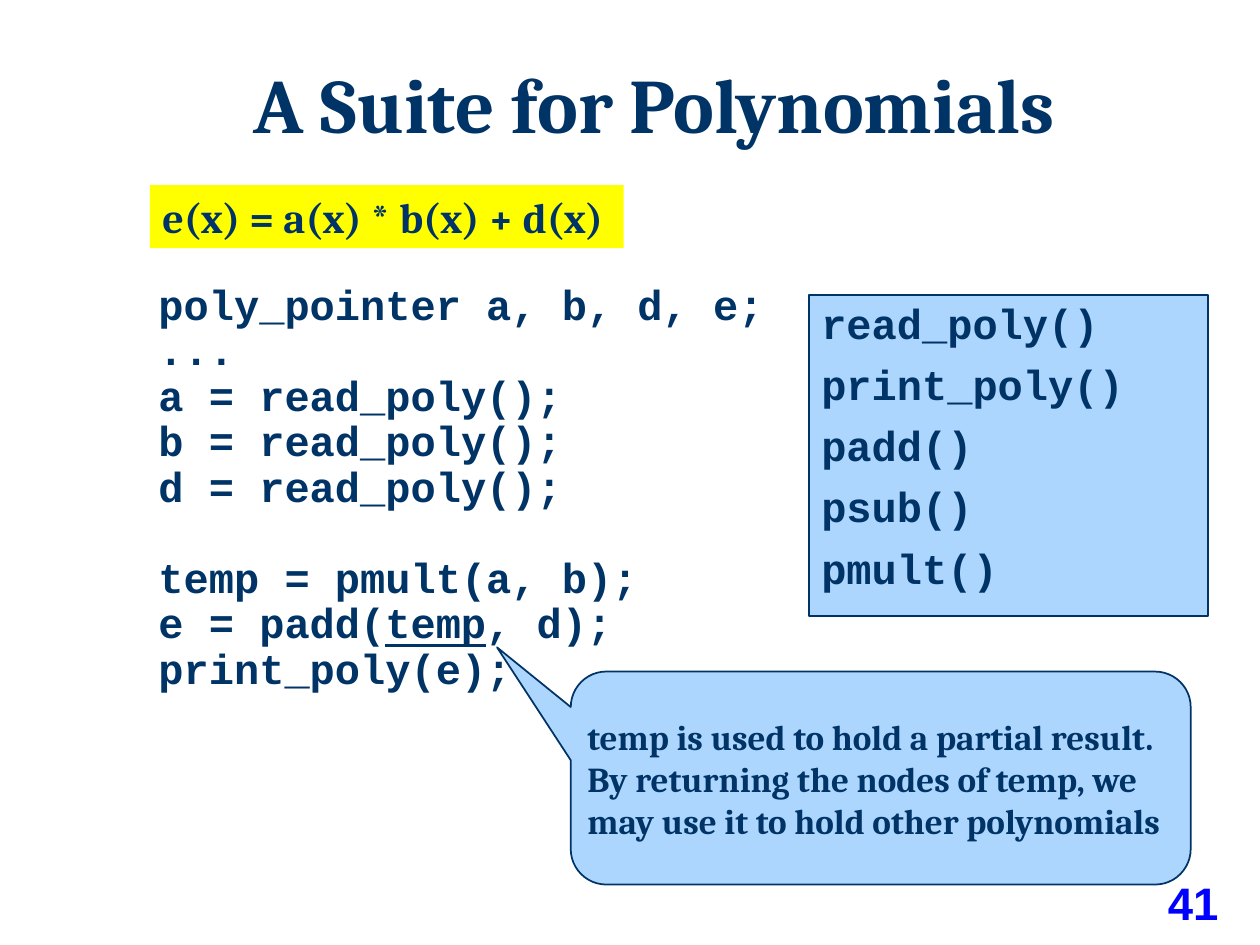
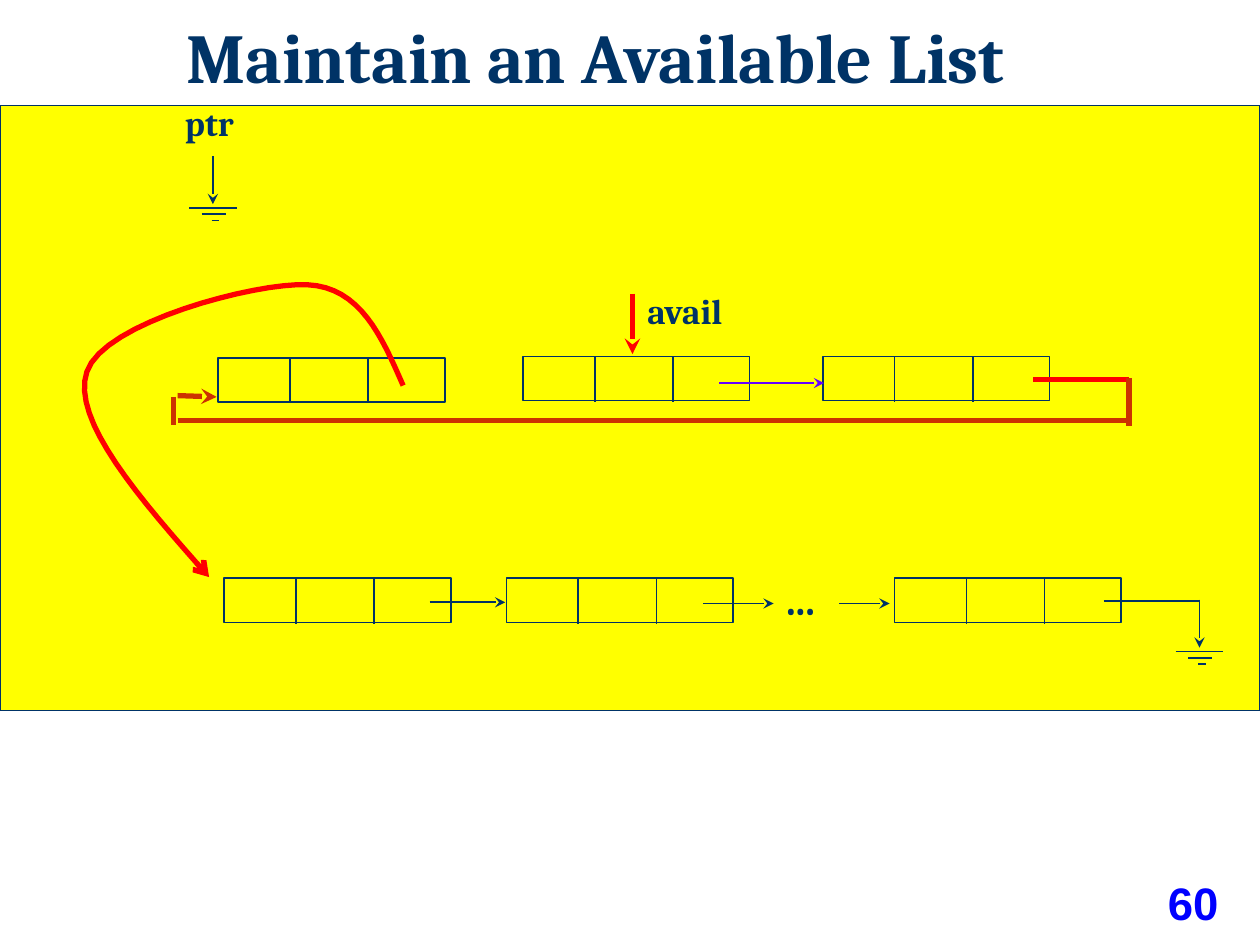
from lxml.etree import SubElement
from pptx import Presentation
from pptx.dml.color import RGBColor
from pptx.enum.shapes import MSO_CONNECTOR, MSO_SHAPE
from pptx.enum.text import MSO_ANCHOR, MSO_AUTO_SIZE, PP_ALIGN
from pptx.oxml.ns import qn
from pptx.util import Inches, Pt

COLORS = {
    "navy": "003366",
    "blue": "0000FF",
    "pale": "ADD6FF",
    "yellow": "FFFF00",
    "red": "FF0000",
    "brick": "CC3300",
    "violet": "6600FF",
}


def write_text(shape, text, size=24, font="Cambria", color="navy",
               align=PP_ALIGN.LEFT, anchor=MSO_ANCHOR.TOP, wrap=True,
               spacing=None, after=0):
    """Write one bold paragraph per line; text between bars is underlined."""
    frame = shape.text_frame
    frame.auto_size = MSO_AUTO_SIZE.NONE
    frame.word_wrap = wrap
    frame.vertical_anchor = anchor
    for number, line in enumerate(text.split("\n")):
        para = frame.add_paragraph() if number else frame.paragraphs[0]
        para.alignment = align
        para.space_before = Pt(0)
        para.space_after = Pt(after)
        if spacing:
            para.line_spacing = spacing
        for index, part in enumerate(line.split("|")):
            span = para.add_run()
            span.text = part
            span.font.name = font
            span.font.size = Pt(size)
            span.font.bold = True
            span.font.underline = index % 2 == 1
            span.font.color.rgb = RGBColor.from_string(COLORS[color])
    return frame


def style_shape(shape, line="navy", width=1, fill=None, arrow=None):
    """Set outline, fill and arrowhead, and remove the shadow."""
    if line:
        shape.line.color.rgb = RGBColor.from_string(COLORS[line])
        shape.line.width = Pt(width)
    else:
        shape.line.fill.background()
    if arrow:
        SubElement(shape.line._get_or_add_ln(), qn("a:tailEnd"), type=arrow)
    if fill:
        shape.fill.solid()
        shape.fill.fore_color.rgb = RGBColor.from_string(COLORS[fill])
    elif hasattr(shape, "fill"):
        shape.fill.background()
    SubElement(shape._element.spPr, qn("a:effectLst"))


deck = Presentation()
deck.slide_width, deck.slide_height = Inches(10), Inches(7.5)

# Titles and page numbers
pages = []
for title, left, top, size, number in [
    ("A Suite for Polynomials", 0.59, 0.48, 44, "41"),
    ("Maintain an Available List", 0.12, 0.13, 40, "60"),
]:
    page = deck.slides.add_slide(deck.slide_layouts[5])
    heading = page.shapes.title
    heading.left, heading.top = Inches(left), Inches(top)
    heading.width, heading.height = Inches(9.21), Inches(1.25)
    write_text(heading, title, size=size, align=PP_ALIGN.CENTER, spacing=0.9)
    box = page.shapes.add_textbox(Inches(9.17), Inches(6.9), Inches(0.64), Inches(0.53))
    write_text(box, number, size=26, font="Arial", color="blue", anchor=MSO_ANCHOR.BOTTOM)
    pages.append(page)
suite, available = [page.shapes for page in pages]

# Polynomial suite: program
program = """poly_pointer a, b, d, e;
...
a = read_poly();
b = read_poly();
d = read_poly();
temp = pmult(a, b);
e = padd(|temp|, d);
print_poly(e);"""
box = suite.add_textbox(Inches(1.16), Inches(2.2), Inches(8.84), Inches(4.5))
frame = write_text(box, program, font="Courier New", spacing=Pt(26))
frame.paragraphs[5].space_before = Pt(26)

# Polynomial suite: function list, callout and formula
functions = suite.add_shape(MSO_SHAPE.RECTANGLE, Inches(6.42), Inches(2.34),
                            Inches(3.17), Inches(2.55))
style_shape(functions, fill="pale")
frame = write_text(functions, "read_poly()\nprint_poly()\npadd()\npsub()\npmult()",
                   font="Courier New", spacing=Pt(23), after=12)
frame.margin_top = Inches(0.1)

callout = suite.add_shape(MSO_SHAPE.ROUNDED_RECTANGULAR_CALLOUT, Inches(4.53),
                          Inches(5.33), Inches(4.92), Inches(1.69))
for index, value in enumerate((-0.619, -0.614, 0.167)):
    callout.adjustments[index] = value
style_shape(callout, fill="pale")
frame = write_text(callout, "temp is used to hold a partial result.\n"
                   "By returning the nodes of temp, we\n"
                   "may use it to hold other polynomials",
                   size=20, anchor=MSO_ANCHOR.MIDDLE)
frame.margin_left = frame.margin_right = Inches(0.05)

formula = suite.add_shape(MSO_SHAPE.RECTANGLE, Inches(1.19), Inches(1.47),
                          Inches(3.76), Inches(0.5))
style_shape(formula, line=None, fill="yellow")
write_text(formula, "e(x) = a(x) * b(x) + d(x)", wrap=False)

# Available list: background and nodes
panel = available.add_shape(MSO_SHAPE.RECTANGLE, 0, Inches(0.84), Inches(10), Inches(4.8))
style_shape(panel, width=0.75, fill="yellow")

lines = []  # x1, y1, x2, y2, colour, width, arrowhead
for left, top in [(1.73, 2.84), (4.15, 2.83), (6.53, 2.83),
                  (1.78, 4.59), (4.02, 4.59), (7.1, 4.59)]:
    node = available.add_shape(MSO_SHAPE.RECTANGLE, Inches(left), Inches(top),
                               Inches(1.8), Inches(0.35))
    style_shape(node)
    for divider in (left + 0.57, left + 1.19):
        lines.append((divider, top, divider, top + 0.36, "navy", 1, None))

# Ground symbols of the null pointers
for center, top in [(1.69, 1.65), (9.52, 5.17)]:
    for row, (start, width) in enumerate([(-0.19, 0.38), (-0.09, 0.19), (-0.01, 0.06)]):
        y = top + 0.05 * row
        lines.append((center + start, y, center + start + width, y, "navy", 1, None))

# Links between nodes
lines += [
    (5.71, 3.04, 6.54, 3.04, "violet", 1, "stealth"),
    (8.2, 3.01, 8.96, 3.01, "red", 3, None),
    (1.41, 3.14, 1.72, 3.15, "brick", 3, "stealth"),
    (1.41, 3.34, 8.98, 3.34, "brick", 3, None),
    (8.96, 3, 8.96, 3.38, "brick", 3, None),
    (1.38, 3.15, 1.38, 3.37, "brick", 3, None),
    (3.41, 4.78, 4.01, 4.78, "navy", 1, "stealth"),
    (5.58, 4.79, 6.14, 4.79, "navy", 1, "stealth"),
    (6.66, 4.79, 7.06, 4.79, "navy", 1, "stealth"),
    (8.76, 4.77, 9.52, 4.77, "navy", 1, None),
    (9.52, 4.76, 9.52, 5.14, "navy", 1, "stealth"),
    (5.02, 2.33, 5.02, 2.81, "red", 3, "stealth"),
    (1.69, 1.24, 1.69, 1.62, "navy", 1, "stealth"),
]
for x1, y1, x2, y2, color, width, arrow in lines:
    link = available.add_connector(MSO_CONNECTOR.STRAIGHT, Inches(x1), Inches(y1),
                                   Inches(x2), Inches(y2))
    style_shape(link, line=color, width=width, arrow=arrow)

# Curved link, traced along three Bezier segments
knots = [(3.2, 3.06), (3.03, 2.67), (2.86, 2.28), (2.44, 2.26), (2.03, 2.24),
         (0.82, 2.56), (0.69, 2.95), (0.56, 3.33), (1.11, 3.96), (1.66, 4.58)]
steps = 16
points = []
for first in range(0, 9, 3):
    for step in range(1, steps + 1):
        t = step / steps
        weights = ((1 - t) ** 3, 3 * t * (1 - t) ** 2, 3 * t ** 2 * (1 - t), t ** 3)
        segment = list(zip(weights, knots[first:first + 4]))
        points.append([Inches(sum(w * knot[axis] for w, knot in segment))
                       for axis in (0, 1)])
builder = available.build_freeform(Inches(knots[0][0]), Inches(knots[0][1]))
builder.add_line_segments(points, close=False)
style_shape(builder.convert_to_shape(), line="red", width=3, arrow="arrow")

# Labels
for label, left, top, width, height, size in [
    ("ptr", 1.37, 0.76, 0.6, 0.44, 20),
    ("avail", 5.04, 2.25, 0.81, 0.44, 20),
    ("...", 6.14, 4.5, 0.44, 0.51, 24),
]:
    box = available.add_textbox(Inches(left), Inches(top), Inches(width), Inches(height))
    write_text(box, label, size=size, wrap=False)

deck.save("out.pptx")
